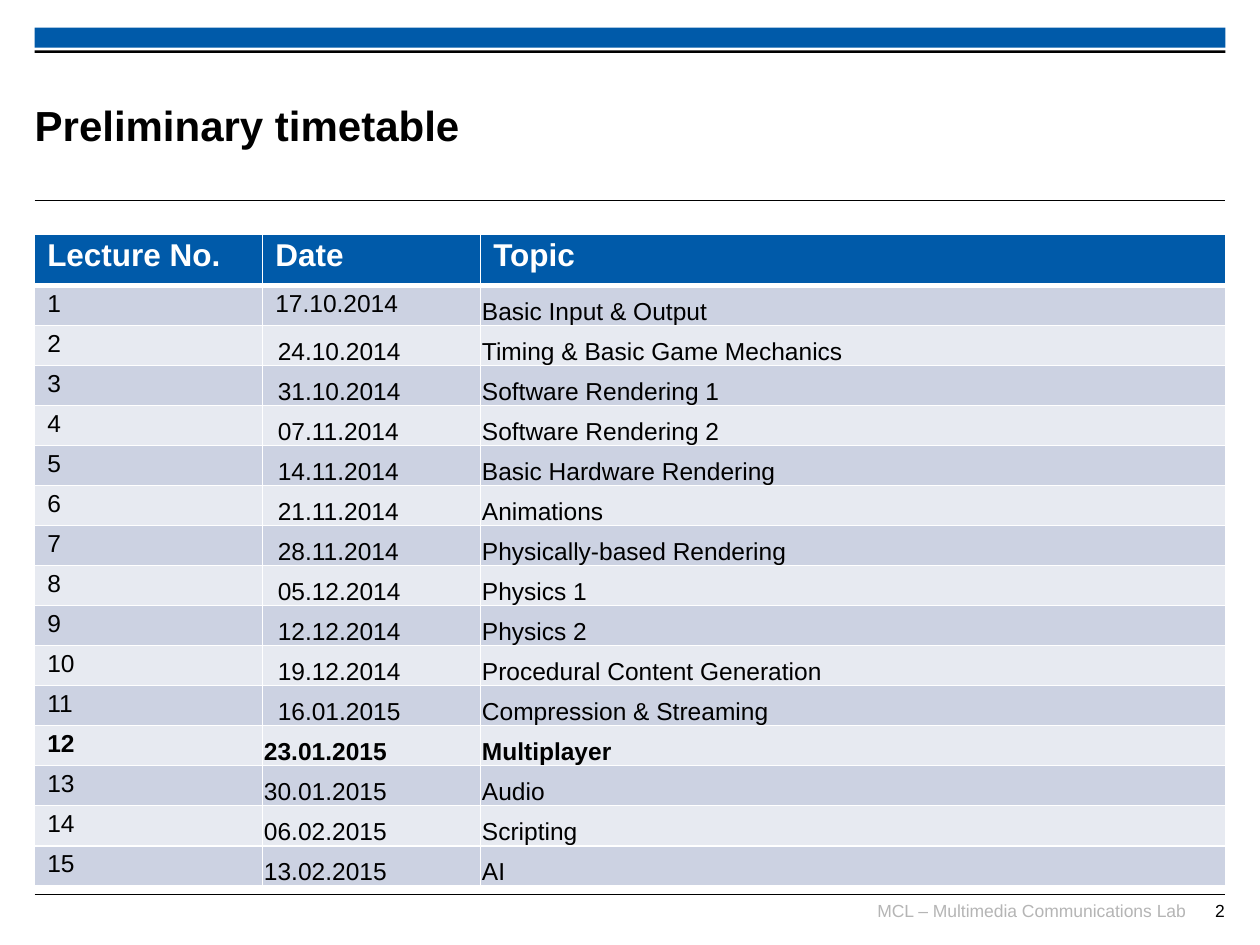
import lxml.etree
import pptx
import pptx.dml.color
import pptx.enum.shapes
import pptx.enum.text
import pptx.oxml.ns
import pptx.util

SLIDE_WIDTH = pptx.util.Inches(10)
SLIDE_HEIGHT = pptx.util.Inches(7.5)
LEFT, WIDTH = 2.75, 94.5  # content band, in percent of the slide's width
FONT = "Arial"
BLUE, BLACK, WHITE, GREY = "005AA9", "000000", "FFFFFF", "B5B5B5"
BANDS = ("CCD2E2", "E7EAF1")
COLUMN_WIDTHS = (18.1, 17.3, 59.1)
HEADER_HEIGHT, ROW_HEIGHT = 5.4, 4.24
CURRENT_LECTURE = 12
FIRST_UNINDENTED_DATE = 12
TIGHT = (0.01, 0.01, 0.01, 0)
INDENTED = (0.12, 0.01, 0.01, 0)
ROOMY = (0.1, 0.05, 0.1, 0.05)
ANCHORS = pptx.enum.text.MSO_ANCHOR
HEADINGS = ("Lecture No.", "Date", "Topic")
LECTURES = (
    ("17.10.2014", "Basic Input & Output"),
    ("24.10.2014", "Timing & Basic Game Mechanics"),
    ("31.10.2014", "Software Rendering 1"),
    ("07.11.2014", "Software Rendering 2"),
    ("14.11.2014", "Basic Hardware Rendering"),
    ("21.11.2014", "Animations"),
    ("28.11.2014", "Physically-based Rendering"),
    ("05.12.2014", "Physics 1"),
    ("12.12.2014", "Physics 2"),
    ("19.12.2014", "Procedural Content Generation"),
    ("16.01.2015", "Compression & Streaming"),
    ("23.01.2015", "Multiplayer"),
    ("30.01.2015", "Audio"),
    ("06.02.2015", "Scripting"),
    ("13.02.2015", "AI"),
)


def across(percent):
    return round(SLIDE_WIDTH * percent / 100)


def down(percent):
    return round(SLIDE_HEIGHT * percent / 100)


def area(left, top, width, height):
    return across(left), down(top), across(width), down(height)


def color(hex_code):
    return pptx.dml.color.RGBColor.from_string(hex_code)


def write(frame, text, size=14, ink=BLACK, bold=False, align="LEFT", spacing=None):
    paragraph = frame.paragraphs[0]
    paragraph.alignment = getattr(pptx.enum.text.PP_ALIGN, align)
    if spacing:
        paragraph.line_spacing = spacing
    run = paragraph.add_run()
    run.text = text
    run.font.name = FONT
    run.font.size = pptx.util.Pt(size)
    run.font.bold = bold
    run.font.color.rgb = color(ink)


def set_margins(target, inches):
    """Set left, top, right and bottom insets of a cell or text frame."""
    for side, inset in zip(("left", "top", "right", "bottom"), inches):
        setattr(target, f"margin_{side}", pptx.util.Inches(inset))


def add_label(slide, place, text, anchor=ANCHORS.TOP, right_inset=0, **text_format):
    frame = slide.shapes.add_textbox(*area(*place)).text_frame
    frame.word_wrap = True
    frame.vertical_anchor = anchor
    set_margins(frame, (0, 0, right_inset, 0))
    write(frame, text, **text_format)


def add_bar(slide, top, height, fill):
    bar = slide.shapes.add_shape(
        pptx.enum.shapes.MSO_SHAPE.RECTANGLE, *area(LEFT, top, WIDTH, height))
    bar.shadow.inherit = False
    bar.fill.solid()
    bar.fill.fore_color.rgb = color(fill)
    bar.line.fill.background()


def add_rule(slide, top):
    rule = slide.shapes.add_connector(
        pptx.enum.shapes.MSO_CONNECTOR.STRAIGHT,
        across(LEFT), down(top), across(LEFT + WIDTH), down(top))
    rule.line.color.rgb = color(BLACK)
    rule.line.width = pptx.util.Pt(0.6)
    lxml.etree.SubElement(rule._element.spPr, pptx.oxml.ns.qn("a:effectLst"))


def style_cell(cell, fill, top=1, bottom=1):
    """Fill a cell and draw its white borders, with widths in points."""
    properties = cell._tc.get_or_add_tcPr()
    for side, points in (("L", 1), ("R", 1), ("T", top), ("B", bottom)):
        border = lxml.etree.SubElement(
            properties, pptx.oxml.ns.qn(f"a:ln{side}"), w=str(pptx.util.Pt(points)))
        solid = lxml.etree.SubElement(border, pptx.oxml.ns.qn("a:solidFill"))
        lxml.etree.SubElement(solid, pptx.oxml.ns.qn("a:srgbClr"), val=WHITE)
    cell.fill.solid()
    cell.fill.fore_color.rgb = color(fill)


def fill_lecture_row(table, number, lecture):
    if number == 1:
        date_margins = ROOMY
    elif number < FIRST_UNINDENTED_DATE:
        date_margins = INDENTED
    else:
        date_margins = TIGHT
    values = (str(number), *lecture)
    for column, margins in enumerate((ROOMY, date_margins, TIGHT)):
        cell = table.cell(number, column)
        style_cell(cell, BANDS[(number - 1) % 2], top=3 if number == 1 else 1)
        set_margins(cell, margins)
        cell.vertical_anchor = ANCHORS.TOP if margins == ROOMY else ANCHORS.BOTTOM
        write(cell.text_frame, values[column], bold=number == CURRENT_LECTURE,
              spacing=0.93)


def add_timetable(slide):
    height = HEADER_HEIGHT + ROW_HEIGHT * len(LECTURES)
    table = slide.shapes.add_table(
        len(LECTURES) + 1, len(HEADINGS), *area(LEFT, 24.8, WIDTH, height)).table
    for column, width in zip(table.columns, COLUMN_WIDTHS):
        column.width = across(width)
    for index, row in enumerate(table.rows):
        row.height = down(ROW_HEIGHT if index else HEADER_HEIGHT)
    for column, heading in enumerate(HEADINGS):
        cell = table.cell(0, column)
        style_cell(cell, BLUE, bottom=3)
        write(cell.text_frame, heading, size=18, ink=WHITE, bold=True, spacing=0.93)
    for number, lecture in enumerate(LECTURES, start=1):
        fill_lecture_row(table, number, lecture)


def main():
    presentation = pptx.Presentation()
    presentation.slide_width = SLIDE_WIDTH
    presentation.slide_height = SLIDE_HEIGHT
    slide = presentation.slides.add_slide(presentation.slide_layouts[6])

    add_bar(slide, 2.93, 2.13, BLUE)
    add_bar(slide, 5.33, 0.27, BLACK)
    for top in (21.2, 94.67):
        add_rule(slide, top)
    add_label(slide, (68.9, 95.2, 26, 3.3), "MCL – Multimedia Communications Lab",
              right_inset=0.08, size=10, ink=GREY, align="RIGHT")
    add_label(slide, (92.9, 95.2, 4.3, 3.2), "2", size=10, align="RIGHT")
    add_label(slide, (LEFT, 7.07, 75.2, 12.27), "Preliminary timetable",
              anchor=ANCHORS.MIDDLE, size=24, bold=True)
    add_timetable(slide)

    presentation.save("out.pptx")


if __name__ == "__main__":
    main()
